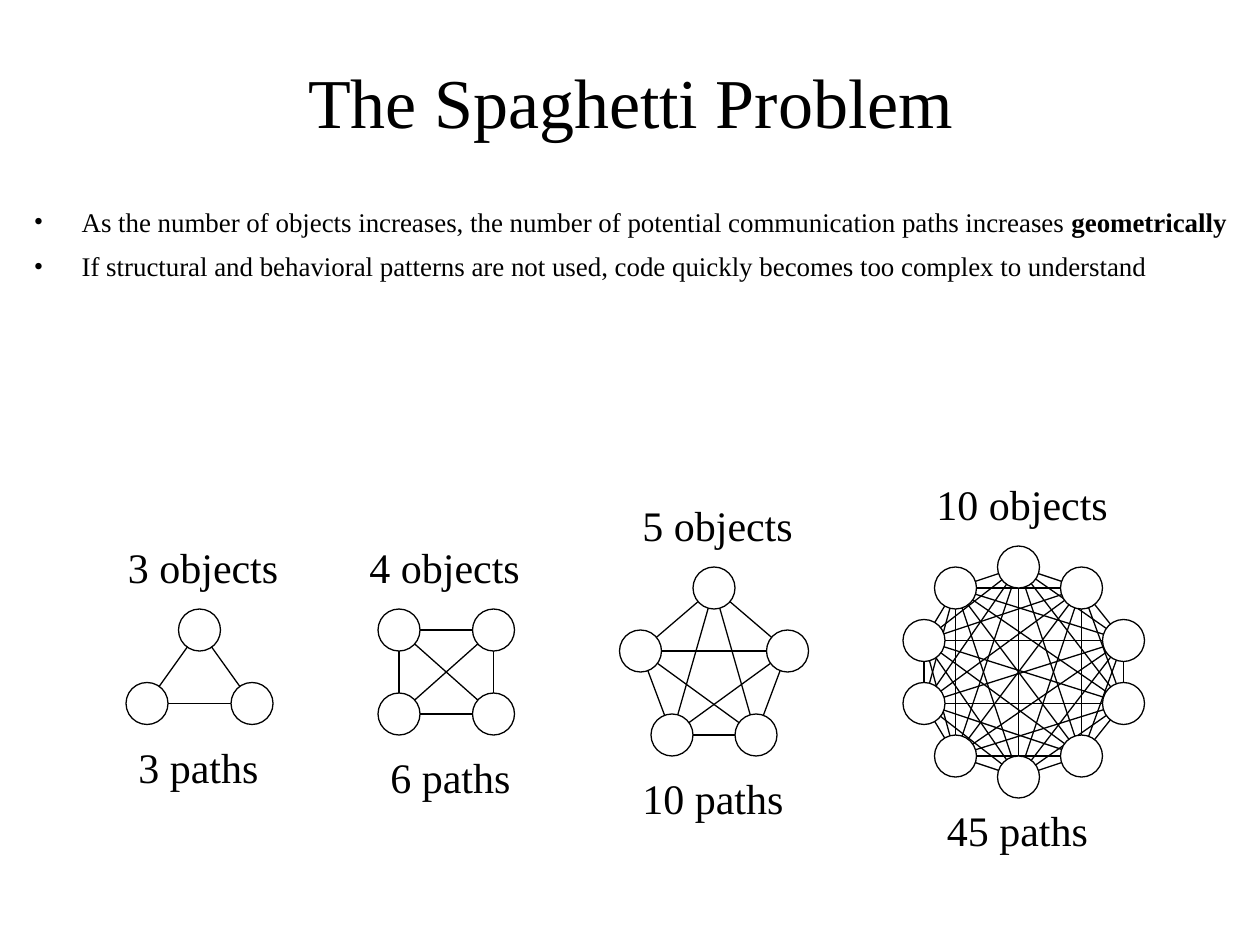
from itertools import combinations

from lxml.etree import SubElement
from pptx import Presentation
from pptx.dml.color import RGBColor
from pptx.enum.shapes import MSO_CONNECTOR, MSO_SHAPE
from pptx.enum.text import MSO_ANCHOR, MSO_AUTO_SIZE, PP_ALIGN
from pptx.oxml.ns import qn
from pptx.util import Inches, Pt

# Content
TITLE = "The Spaghetti Problem"
BULLETS = [
    [("As the number of objects increases, the number of potential "
      "communication paths increases ", False), ("geometrically", True)],
    [("If structural and behavioral patterns are not used, code quickly "
      "becomes too complex to understand", False)],
]

# Graphs: node centres in order round the ring, then label corners,
# all in grid units of 1/12 inch
GRAPHS = [
    dict(nodes=[(14, 67), (19, 60), (24, 67)],
         objects_at=(11, 51), paths_at=(12, 70)),
    dict(nodes=[(38, 60), (47, 60), (47, 68), (38, 68)], boxed=True,
         objects_at=(34, 51), paths_at=(36, 71)),
    dict(nodes=[(61, 62), (68, 56), (75, 62), (72, 70), (64, 70)],
         objects_at=(60, 47), paths_at=(60, 73)),
    dict(nodes=[(88, 61), (91, 56), (97, 54), (103, 56), (107, 61),
                (107, 67), (103, 72), (97, 74), (91, 72), (88, 67)],
         objects_at=(88, 45), paths_at=(89, 76)),
]
NODE = 4  # circle diameter in grid units

THEME = dict(font="Times New Roman", ink=RGBColor(0, 0, 0),
             paper=RGBColor(255, 255, 255), line=Pt(0.75),
             title=Pt(40), body=Pt(15.4), label=Pt(24))


def grid(units):
    return Inches(units / 12)


def add_bullet(p):
    pPr = p._p.get_or_add_pPr()
    pPr.set("marL", str(Inches(0.38)))
    pPr.set("indent", str(-Inches(0.38)))
    SubElement(pPr, qn("a:buFont"), typeface=THEME["font"])
    SubElement(pPr, qn("a:buChar"), char="•")


def add_text(s, paragraphs, box, size, align=PP_ALIGN.LEFT,
             anchor=MSO_ANCHOR.TOP, wrap=True, bullets=False):
    """Each paragraph is a list of (text, bold) runs."""
    tf = s.shapes.add_textbox(*box).text_frame
    tf.word_wrap = wrap
    if not wrap:
        tf.auto_size = MSO_AUTO_SIZE.SHAPE_TO_FIT_TEXT
    tf.vertical_anchor = anchor
    for i, runs in enumerate(paragraphs):
        p = tf.add_paragraph() if i else tf.paragraphs[0]
        p.alignment = align
        if i:
            p.space_before = Pt(7)
        if bullets:
            add_bullet(p)
        for text, bold in runs:
            r = p.add_run()
            r.text = text
            r.font.name, r.font.size, r.font.bold = THEME["font"], size, bold
            r.font.color.rgb = THEME["ink"]


def set_line(sp):
    sp.line.color.rgb = THEME["ink"]
    sp.line.width = THEME["line"]


def add_shape(group, kind, x, y, w, h, filled=True):
    sp = group.shapes.add_shape(kind, grid(x), grid(y), grid(w), grid(h))
    sp.shadow.inherit = False
    if filled:
        sp.fill.solid()
        sp.fill.fore_color.rgb = THEME["paper"]
    else:
        sp.fill.background()
    set_line(sp)


def add_path(group, start, end):
    line = group.shapes.add_connector(
        MSO_CONNECTOR.STRAIGHT, *map(grid, start + end))
    set_line(line)
    SubElement(line._element.spPr, qn("a:effectLst"))


def add_graph(s, nodes, objects_at, paths_at, boxed=False):
    group = s.shapes.add_group_shape()
    pairs = list(combinations(nodes, 2))

    # A boxed graph has a rectangle for its sides, so only diagonals remain
    if boxed:
        (x0, y0), (x1, y1) = nodes[0], nodes[2]
        add_shape(group, MSO_SHAPE.RECTANGLE, x0, y0, x1 - x0, y1 - y0,
                  filled=False)
    for a, b in pairs:
        if not boxed or (a[0] != b[0] and a[1] != b[1]):
            add_path(group, a, b)

    # Nodes cover the line ends
    for x, y in nodes:
        add_shape(group, MSO_SHAPE.OVAL, x - NODE / 2, y - NODE / 2, NODE, NODE)

    # Counts above and below, in boxes just wider than their text
    for text, (x, y), width in (
            (f"{len(nodes)} objects", objects_at, 1.4 if len(nodes) < 10 else 1.57),
            (f"{len(pairs)} paths", paths_at, 1.16 if len(pairs) < 10 else 1.33)):
        add_text(s, [[(text, False)]],
                 (grid(x), grid(y), Inches(width), Inches(0.5)),
                 THEME["label"], wrap=False)


def main():
    prs = Presentation()
    prs.slide_width, prs.slide_height = Inches(10), Inches(7.5)
    s = prs.slides.add_slide(prs.slide_layouts[6])

    # Title and bullets
    add_text(s, [[(TITLE, False)]], map(Inches, (0.17, 0.17, 9.67, 1.25)),
             THEME["title"], align=PP_ALIGN.CENTER, anchor=MSO_ANCHOR.MIDDLE)
    add_text(s, BULLETS, map(Inches, (0.17, 1.58, 9.67, 1)),
             THEME["body"], bullets=True)

    # Graphs of growing size
    for graph in GRAPHS:
        add_graph(s, **graph)

    prs.save("out.pptx")


if __name__ == "__main__":
    main()
